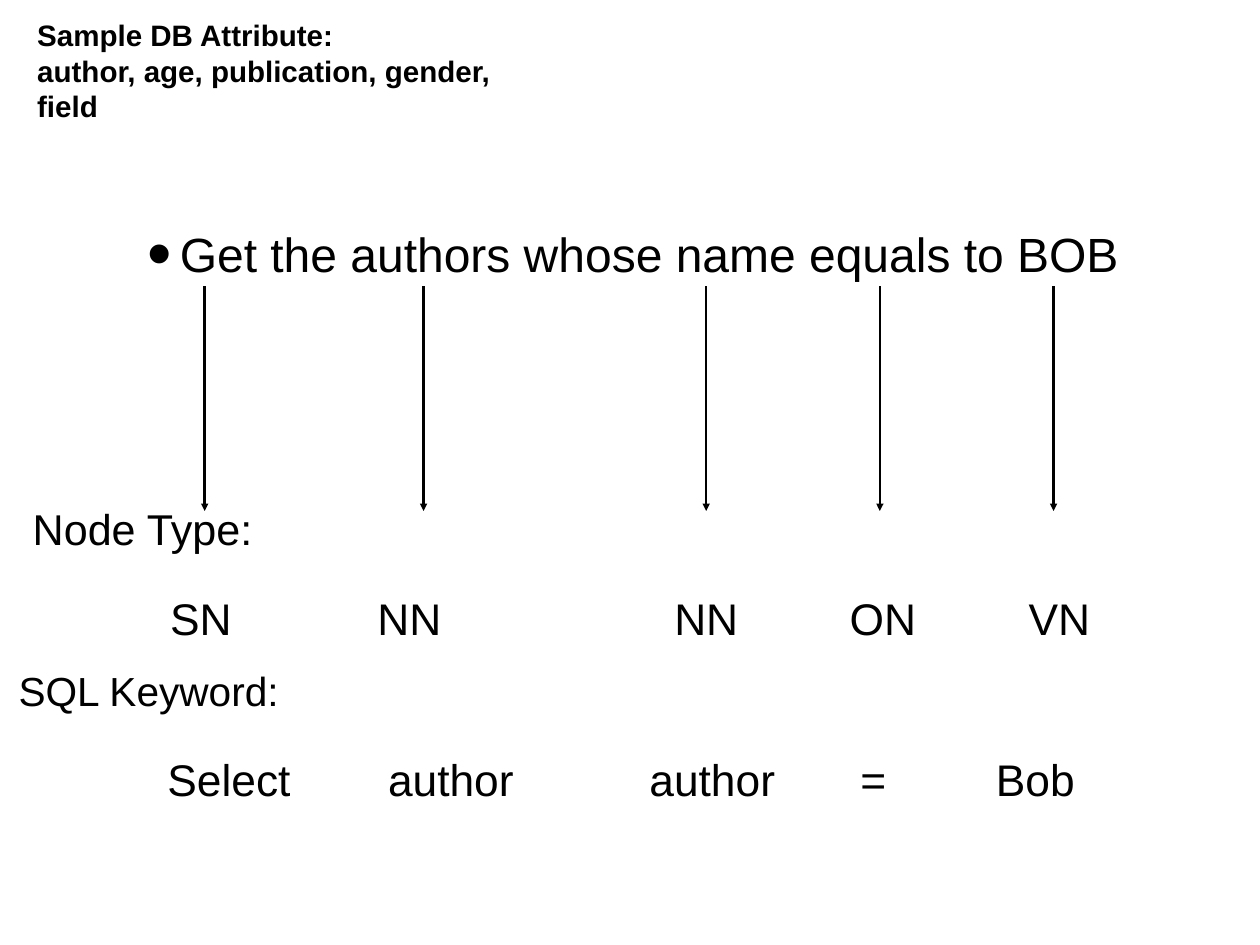
"""Build a slide that maps the words of a question to node types and SQL keywords."""
from lxml import etree
from pptx import Presentation
from pptx.dml.color import RGBColor
from pptx.enum.shapes import MSO_CONNECTOR
from pptx.enum.text import MSO_ANCHOR, MSO_AUTO_SIZE, PP_ALIGN
from pptx.oxml.ns import qn
from pptx.util import Inches, Pt

STRAIGHT = MSO_CONNECTOR.STRAIGHT
MIDDLE = MSO_ANCHOR.MIDDLE
NO_FIT = MSO_AUTO_SIZE.NONE
LEFT = PP_ALIGN.LEFT

COLORS = {"ink": "000000"}
FONT = "Arial"
INSET = 0.06
BULLET_INDENT = 0.37
LINE_HEIGHT = 0.8
LABEL_WIDTH, WORD_WIDTH = 3.4, 1.8
WORD_SIZE = 36

HEADER = ["Sample DB Attribute:", "author, age, publication, gender, field"]
QUESTION = "Get the authors whose name equals to BOB"
ARROW_COLUMNS = [2.31, 4.78, 7.97, 9.93, 11.89]
ARROW_TOP, ARROW_BOTTOM = 3.23, 5.77
ROWS = [
    {"label": "Node Type:", "size": 35, "left": 0.35, "label_middle": 5.97,
     "word_middle": 6.98,
     "words": [("SN", 1.92), ("NN", 4.26), ("NN", 7.61), ("ON", 9.59), ("VN", 11.61)]},
    {"label": "SQL Keyword:", "size": 33, "left": 0.19, "label_middle": 7.79,
     "word_middle": 8.79,
     "words": [("Select", 1.89), ("author", 4.38), ("author", 7.33), ("=", 9.71),
               ("Bob", 11.24)]},
]


def prepare_frame(box, left, top, width, height):
    box.left, box.top = Inches(left), Inches(top)
    box.width, box.height = Inches(width), Inches(height)
    frame = box.text_frame
    frame.word_wrap = True
    frame.auto_size = NO_FIT
    frame.vertical_anchor = MIDDLE
    frame.margin_left = frame.margin_right = Inches(INSET)
    frame.margin_top = frame.margin_bottom = Inches(INSET)
    return frame


def format_para(para, size, before=0, bold=False):
    para.alignment = LEFT
    para.space_before = Pt(before)
    para.font.name = FONT
    para.font.size = Pt(size)
    para.font.bold = bold
    para.font.color.rgb = RGBColor.from_string(COLORS["ink"])


def add_header(page):
    frame = prepare_frame(page.shapes.title, 0.36, 0.34, 6, 0.91)
    frame.text = "\n".join(HEADER)
    for para in frame.paragraphs:
        format_para(para, 24, bold=True)


def add_question(page):
    frame = prepare_frame(page.placeholders[1], 1.6, 1.68, 12.28, 2.36)
    frame.text = QUESTION
    para = frame.paragraphs[0]
    format_para(para, 39, before=32)
    properties = para._p.get_or_add_pPr()
    properties.set("marL", str(Inches(BULLET_INDENT)))
    properties.set("indent", str(Inches(-BULLET_INDENT)))
    defaults = properties.find(qn("a:defRPr"))
    defaults.addprevious(etree.Element(qn("a:buSzPct"), val="145000"))
    defaults.addprevious(etree.Element(qn("a:buChar"), char="•"))


def add_arrow(page, x):
    arrow = page.shapes.add_connector(
        STRAIGHT, Inches(x), Inches(ARROW_TOP), Inches(x), Inches(ARROW_BOTTOM))
    arrow.line.color.rgb = RGBColor.from_string(COLORS["ink"])
    arrow.line.width = Pt(2)
    etree.SubElement(arrow.line._get_or_add_ln(), qn("a:tailEnd"), type="triangle")
    etree.SubElement(arrow._element.spPr, qn("a:effectLst"))


def add_line_of_text(page, text, text_left, middle, width, size):
    box = page.shapes.add_textbox(0, 0, 0, 0)
    frame = prepare_frame(
        box, text_left - INSET, middle - LINE_HEIGHT / 2, width, LINE_HEIGHT)
    frame.text = text
    format_para(frame.paragraphs[0], size)


def add_row(page, row):
    add_line_of_text(page, row["label"], row["left"] + 0.02, row["label_middle"],
                     LABEL_WIDTH, row["size"])
    for word, x in row["words"]:
        add_line_of_text(page, word, x, row["word_middle"], WORD_WIDTH, WORD_SIZE)


def main():
    deck = Presentation()
    deck.slide_width, deck.slide_height = Inches(14.22), Inches(10.67)
    page = deck.slides.add_slide(deck.slide_layouts[1])
    add_header(page)
    add_question(page)
    for x in ARROW_COLUMNS:
        add_arrow(page, x)
    for row in ROWS:
        add_row(page, row)
    deck.save("out.pptx")


if __name__ == "__main__":
    main()
